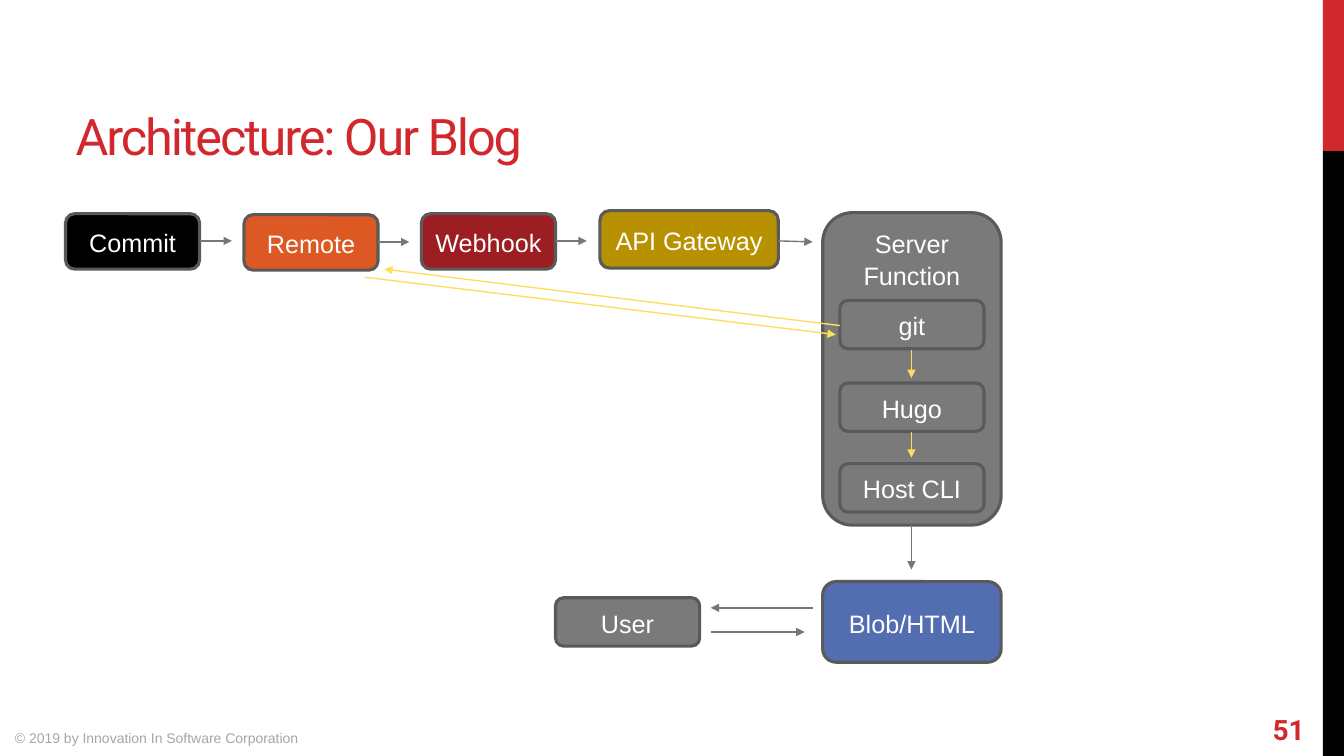
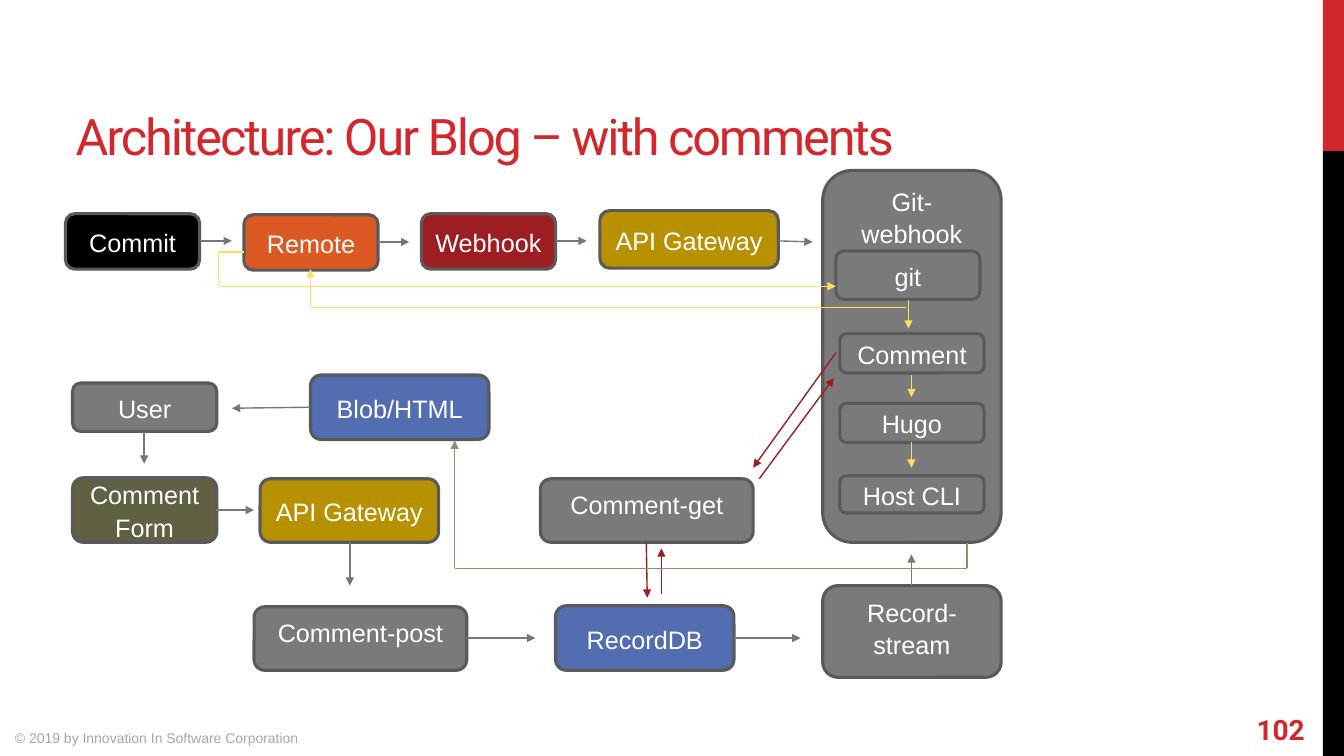
from dataclasses import dataclass
from itertools import pairwise

from lxml.etree import SubElement
from pptx import Presentation
from pptx.dml.color import RGBColor
from pptx.enum.shapes import MSO_CONNECTOR as Connector, MSO_SHAPE as Preset
from pptx.enum.text import MSO_ANCHOR as Anchor, MSO_AUTO_SIZE as AutoSize, PP_ALIGN as Align
from pptx.oxml.ns import qn
from pptx.util import Inches, Pt


@dataclass(frozen=True)
class Theme:
    """Colours, fonts and sizes shared by the slides."""
    red: str = "D1282E"
    black: str = "000000"
    white: str = "FFFFFF"
    gray: str = "7A7A7A"
    border: str = "5A5A5A"
    arrow: str = "777777"
    muted: str = "A6A6A6"
    blue: str = "526DB0"
    gold: str = "B89101"
    orange: str = "DC5924"
    crimson: str = "9D1E22"
    yellow: str = "FEDE61"
    olive: str = "616042"
    sage: str = "919064"
    heading_font: str = "Roboto"
    body_font: str = "Arial"
    title_size: int = 36
    number_size: int = 20
    label_size: int = 18
    footer_size: int = 10
    label_spacing: float = 1.07
    border_width: float = 2.25
    arrow_width: float = 1


THEME = Theme()
FOOTER = "© 2019 by Innovation In Software Corporation"

PIPELINE_BOXES = [
    ("Commit", (0.65, 2.12, 1.33, 0.55), THEME.black),
    ("Remote", (2.42, 2.13, 1.33, 0.55), THEME.orange),
    ("Webhook", (4.18, 2.12, 1.33, 0.55), THEME.crimson),
    ("API Gateway", (5.95, 2.09, 1.77, 0.57), THEME.gold),
]
PIPELINE_ARROWS = [
    (THEME.arrow, (1.98, 2.39), (2.3, 2.39)),
    (THEME.arrow, (3.75, 2.4), (4.06, 2.4)),
    (THEME.arrow, (5.51, 2.39), (5.82, 2.39)),
    (THEME.arrow, (7.72, 2.39), (8.06, 2.4)),
]

BLOG_PANELS = [("Server Function", (8.16, 2.11, 1.77, 3.1), THEME.gray)]
BLOG_BOXES = [
    ("git", (8.33, 2.98, 1.43, 0.48), THEME.gray),
    ("Hugo", (8.33, 3.8, 1.43, 0.48), THEME.gray),
    ("Host CLI", (8.33, 4.6, 1.43, 0.48), THEME.gray),
    ("User", (5.51, 5.93, 1.43, 0.48), THEME.gray),
    ("Blob/HTML", (8.16, 5.77, 1.77, 0.8), THEME.blue),
]
BLOG_ARROWS = [
    (THEME.yellow, (8.33, 3.23), (3.81, 2.67)),
    (THEME.yellow, (3.62, 2.75), (8.29, 3.32)),
    (THEME.yellow, (9.04, 3.47), (9.04, 3.75)),
    (THEME.yellow, (9.04, 4.29), (9.04, 4.54)),
    (THEME.arrow, (9.04, 5.21), (9.04, 5.65)),
    (THEME.arrow, (8.06, 6.03), (7.05, 6.03)),
    (THEME.arrow, (7.05, 6.27), (7.98, 6.27)),
]

COMMENT_PANELS = [
    ("Git-webhook", (8.16, 1.69, 1.77, 3.69), THEME.gray),
    ("Comment-get", (5.36, 4.75, 2.11, 0.63), THEME.gray),
    ("Comment-post", (2.52, 6.02, 2.11, 0.63), THEME.gray),
    ("Record-stream", (8.16, 5.81, 1.77, 0.91), THEME.gray),
]
COMMENT_BOXES = [
    ("git", (8.29, 2.49, 1.43, 0.48), THEME.gray),
    ("Comment", (8.33, 3.31, 1.43, 0.39), THEME.gray),
    ("Hugo", (8.33, 4, 1.43, 0.39), THEME.gray),
    ("Host CLI", (8.33, 4.72, 1.43, 0.37), THEME.gray),
    ("User", (0.72, 3.8, 1.43, 0.48), THEME.gray),
    ("Blob/HTML", (3.08, 3.72, 1.77, 0.64), THEME.blue),
    ("Comment Form", (0.72, 4.74, 1.43, 0.64), THEME.olive),
    ("API Gateway", (2.58, 4.75, 1.77, 0.63), THEME.gold),
    ("RecordDB", (5.51, 6.01, 1.77, 0.64), THEME.blue),
]
COMMENT_ARROWS = [
    (THEME.yellow, (9.01, 2.98), (9.01, 3.26)),
    (THEME.yellow, (9.04, 3.72), (9.04, 3.94)),
    (THEME.yellow, (9.04, 4.39), (9.04, 4.64)),
    (THEME.yellow, (8.99, 3.05), (3.08, 3.05), (3.08, 2.67)),
    (THEME.yellow, (2.42, 2.5), (2.17, 2.5), (2.17, 2.84), (8.29, 2.84)),
    (THEME.arrow, (3.08, 4.04), (2.3, 4.05)),
    (THEME.arrow, (1.43, 4.29), (1.43, 4.6)),
    (THEME.arrow, (2.14, 5.06), (2.52, 5.06)),
    (THEME.arrow, (3.47, 5.38), (3.47, 5.81)),
    (THEME.arrow, (4.62, 6.33), (5.31, 6.33)),
    (THEME.arrow, (7.28, 6.33), (7.94, 6.33)),
    (THEME.arrow, (9.04, 5.81), (9.04, 5.5)),
    (THEME.crimson, (8.29, 3.5), (7.47, 4.64)),
    (THEME.crimson, (7.53, 4.75), (8.27, 3.75)),
    (THEME.crimson, (6.41, 5.38), (6.42, 5.93)),
    (THEME.crimson, (6.56, 5.89), (6.56, 5.44)),
    (THEME.sage, (9.59, 5.39), (9.59, 5.64), (4.51, 5.64), (4.51, 4.37)),
]


def rgb(color):
    """Turn a hex string into a colour."""
    return RGBColor.from_string(color)


def place(shape, bounds):
    """Move a shape to bounds given in inches."""
    shape.left, shape.top, shape.width, shape.height = map(Inches, bounds)


def write_text(shape, text, size, color, font=THEME.body_font, bold=False,
               align=Align.LEFT, anchor=Anchor.TOP, spacing=1.0):
    """Write one formatted paragraph into a shape."""
    frame = shape.text_frame
    frame.word_wrap = True
    frame.auto_size = AutoSize.NONE
    frame.vertical_anchor = anchor
    paragraph = frame.paragraphs[0]
    paragraph.alignment = align
    paragraph.line_spacing = spacing
    run = paragraph.add_run()
    run.text = text
    run.font.size = Pt(size)
    run.font.name = font
    run.font.bold = bold
    run.font.color.rgb = rgb(color)


def add_text(slide, text, bounds, **text_format):
    """Add a text box."""
    write_text(slide.shapes.add_textbox(*map(Inches, bounds)), text, **text_format)


def add_filled(slide, preset, bounds, fill, line=None):
    """Add a flat filled shape with an optional border."""
    shape = slide.shapes.add_shape(preset, *map(Inches, bounds))
    shape.shadow.inherit = False
    shape.fill.solid()
    shape.fill.fore_color.rgb = rgb(fill)
    if line:
        shape.line.color.rgb = rgb(line)
        shape.line.width = Pt(THEME.border_width)
    else:
        shape.line.fill.background()
    return shape


def add_box(slide, label, bounds, fill, anchor=Anchor.MIDDLE):
    """Add a labelled rounded box."""
    box = add_filled(slide, Preset.ROUNDED_RECTANGLE, bounds, fill, THEME.border)
    write_text(box, label, THEME.label_size, THEME.white, align=Align.CENTER,
               anchor=anchor, spacing=THEME.label_spacing)


def add_arrow(slide, color, *points):
    """Draw straight legs through the points, with a head on the last leg."""
    for begin, end in pairwise(points):
        leg = slide.shapes.add_connector(Connector.STRAIGHT, *map(Inches, begin + end))
        leg.line.color.rgb = rgb(color)
        leg.line.width = Pt(THEME.arrow_width)
        properties = leg.element.spPr
        SubElement(properties, qn("a:effectLst"))
    SubElement(properties.find(qn("a:ln")), qn("a:tailEnd"), type="triangle")


def prepare_layout(layout, slide):
    """Set the title position and move the side bands into the layout."""
    place(layout.placeholders[0], (0.65, 0.89, 8.76, 0.8))
    for top, height, color in ((0, 1.5, THEME.red), (1.5, 6, THEME.black)):
        band = add_filled(slide, Preset.RECTANGLE, (13.12, top, 0.21, height), color)
        layout.shapes.element.append(band.element)


def add_frame(slide, title, number):
    """Fill the title, page number and footer."""
    heading = slide.shapes.title
    write_text(heading, title, THEME.title_size, THEME.red,
               font=THEME.heading_font, anchor=Anchor.BOTTOM)
    for run_properties in heading.element.iter(qn("a:rPr")):
        run_properties.set("spc", "-150")
    add_text(slide, number, (11.6, 6.97, 1.44, 0.53), size=THEME.number_size,
             color=THEME.red, font=THEME.heading_font, bold=True,
             align=Align.RIGHT, anchor=Anchor.MIDDLE)
    add_text(slide, FOOTER, (0.05, 7.19, 5, 0.31), size=THEME.footer_size, color=THEME.muted)


def add_diagram(slide, panels, boxes, arrows):
    """Draw the common pipeline together with this slide's own parts."""
    for panel in panels:
        add_box(slide, *panel, anchor=Anchor.TOP)
    for box in PIPELINE_BOXES + boxes:
        add_box(slide, *box)
    for arrow in PIPELINE_ARROWS + arrows:
        add_arrow(slide, *arrow)


def main():
    """Build and save the presentation."""
    presentation = Presentation()
    presentation.slide_width = Inches(13.33)
    presentation.slide_height = Inches(7.5)
    layout = presentation.slide_layouts[5]
    blog = presentation.slides.add_slide(layout)
    comments = presentation.slides.add_slide(layout)
    prepare_layout(layout, blog)
    add_frame(blog, "Architecture: Our Blog", "51")
    add_diagram(blog, BLOG_PANELS, BLOG_BOXES, BLOG_ARROWS)
    add_frame(comments, "Architecture: Our Blog – with comments", "102")
    add_diagram(comments, COMMENT_PANELS, COMMENT_BOXES, COMMENT_ARROWS)
    presentation.save("out.pptx")


if __name__ == "__main__":
    main()
